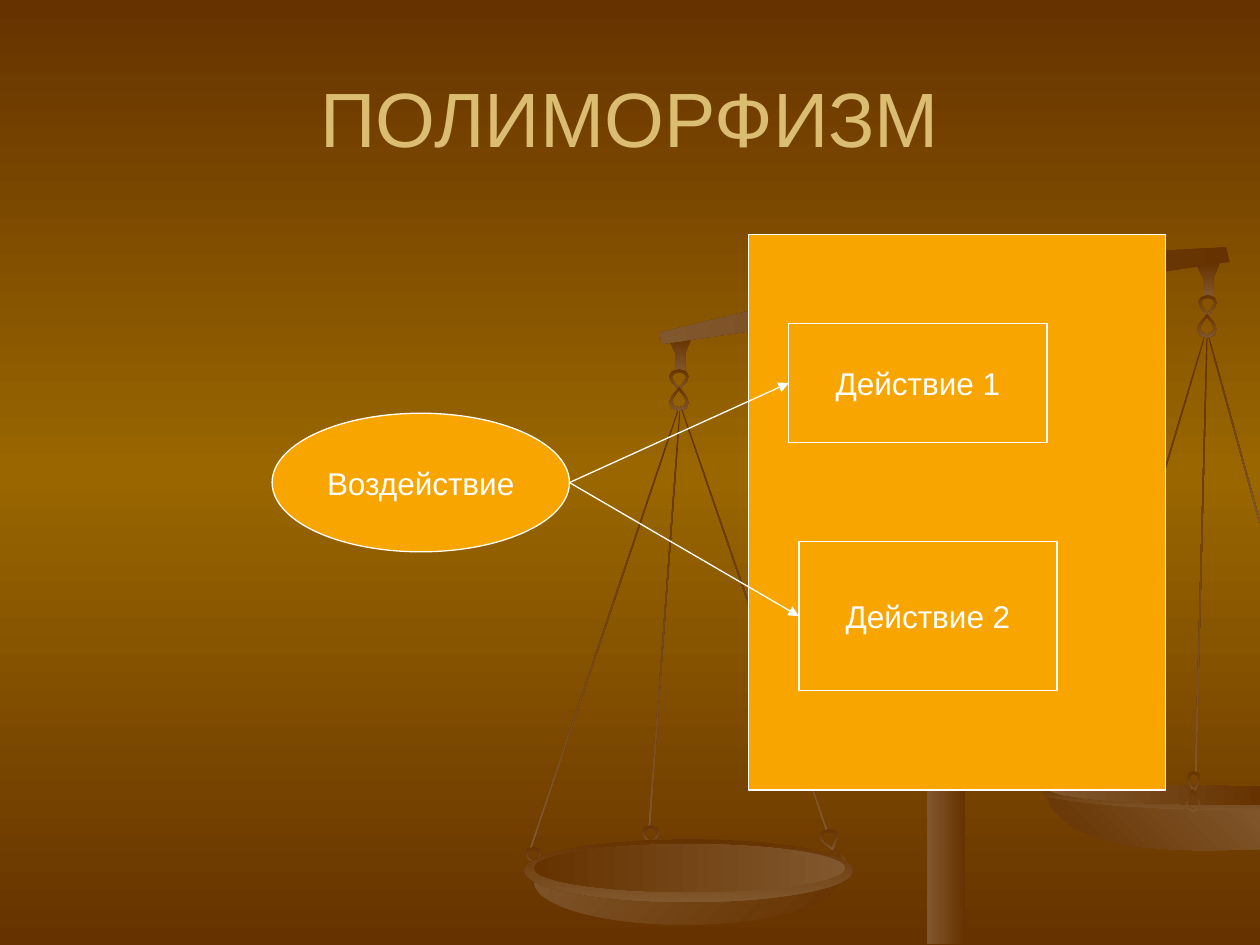
from copy import deepcopy
from dataclasses import dataclass
from typing import Optional

from lxml.etree import SubElement
from pptx import Presentation
from pptx.dml.color import RGBColor
from pptx.enum.shapes import MSO_CONNECTOR as Connector, MSO_SHAPE as Preset
from pptx.enum.text import MSO_ANCHOR as Anchor, PP_ALIGN as Align
from pptx.oxml.ns import qn
from pptx.util import Inches, Pt

BROWN = RGBColor(0x66, 0x33, 0x00)
OCHRE = RGBColor(0x99, 0x66, 0x00)
COPPER = RGBColor(0x81, 0x57, 0x2D)
ORANGE = RGBColor(0xF8, 0xA5, 0x00)
SAND = RGBColor(0xDB, 0xBD, 0x71)
WHITE = RGBColor(0xFF, 0xFF, 0xFF)
FONT = "Arial"
Points = list[tuple[float, float]]


@dataclass
class Part:
    left: float
    top: float
    width: float
    height: float
    preset: Preset = Preset.RECTANGLE
    angle: int = 90
    rotation: float = 0
    start: RGBColor = BROWN
    end: RGBColor = COPPER


@dataclass
class Outline:
    points: Points
    angle: int = 90
    start: RGBColor = BROWN
    end: RGBColor = COPPER
    hole: Optional[Points] = None


@dataclass
class Node:
    left: float
    top: float
    width: float
    height: float
    preset: Preset = Preset.RECTANGLE
    label: str = ""


def rope(left: float, top: float, height: float, rotation: float) -> Part:
    return Part(left, top, 0.01, height, rotation=rotation)


def link(left: float, top: float, width: float, height: float, up: bool = False, tip: float = 0.5) -> Outline:
    unit = [(tip, 1), (0.85, 0.62), (1, 0.35), (0.85, 0.1), (0.5, 0), (0.15, 0.1), (0, 0.35), (0.15, 0.62)]

    def ring(scale: float) -> Points:
        placed = [(0.5 + (x - 0.5) * scale, 0.5 + (y - 0.5) * scale) for x, y in unit]
        return [(left + x * width, top + (1 - y if up else y) * height) for x, y in placed]

    return Outline(ring(1), hole=ring(0.72)[::-1])


def hook(left: float, top: float) -> Outline:
    steps = [(0.18, 0), (0, 0.02), (0.05, 0.12), (0.05, 0.27), (0.13, 0.27), (0.13, 0.12)]
    return Outline([(left + x, top + y) for x, y in steps])


SCALES = [
    rope(9.04, 2.6, 3.6, 16.6),
    rope(9.53, 2.66, 3.47, 1.5),
    rope(9.79, 2.64, 1.53, 344.6),
    rope(5.98, 3.15, 3.53, 341),
    rope(4.79, 3.16, 3.68, 18.6),
    rope(5.27, 3.25, 3.31, 4.2),
    Outline([(9.58, 6.24), (9.1, 6.24), (8.75, 6.23), (8.46, 6.24), (8.31, 6.26), (8.27, 6.28), (8.32, 6.33),
             (8.52, 6.38), (8.94, 6.42), (9.35, 6.44), (9.58, 6.45), (10, 6.45), (10, 6.26), (9.8, 6.26)]),
    Outline([(8.31, 6.33), (8.35, 6.42), (8.42, 6.49), (8.52, 6.57), (8.65, 6.63), (8.82, 6.68), (9.03, 6.72),
             (9.28, 6.74), (9.57, 6.75), (10, 6.74), (10, 6.43), (9.53, 6.43), (9.18, 6.42), (8.86, 6.4),
             (8.57, 6.37)], 135, COPPER, BROWN),
    Outline([(9.56, 6.23), (9.09, 6.23), (8.69, 6.23), (8.51, 6.24), (8.34, 6.28), (8.43, 6.31), (8.63, 6.34),
             (8.93, 6.37), (9.33, 6.38), (9.55, 6.39), (10, 6.39), (10, 6.24), (9.79, 6.24)], 180),
    hook(5.31, 2.68),
    link(5.31, 2.93, 0.16, 0.17),
    link(5.31, 3.07, 0.16, 0.19, up=True),
    hook(9.5, 2.09),
    link(9.51, 2.34, 0.15, 0.17),
    link(9.5, 2.49, 0.16, 0.19, up=True),
    link(9.42, 6.12, 0.11, 0.17),
    Outline([(9.73, 1.96), (9.76, 2.08), (5.25, 2.73), (5.24, 2.64), (7.37, 2.12), (7.59, 2.09)], 180),
    link(5.09, 6.55, 0.15, 0.16),
    link(6.56, 6.72, 0.16, 0.19, up=True, tip=0.3),
    link(4.17, 6.72, 0.13, 0.16, tip=0.95),
    Part(4.24, 6.66, 2.4, 0.68, Preset.OVAL, 225),
    Part(4.16, 6.66, 2.61, 0.5, Preset.OVAL),
    Part(4.24, 6.7, 2.47, 0.38, Preset.OVAL, 180, start=COPPER, end=BROWN),
    link(6.5, 6.58, 0.16, 0.17, tip=0.7),
    link(9.41, 6.26, 0.12, 0.19, up=True),
    Part(7.36, 3.08, 0.3, 4.41, angle=180),
]
SOURCE = Node(2.16, 3.28, 2.36, 1.1, Preset.OVAL, "Воздействие")
PANEL = Node(5.94, 1.86, 3.31, 4.41)
ACTIONS = [Node(6.26, 2.57, 2.05, 0.94, label="Действие 1"), Node(6.34, 4.3, 2.05, 1.18, label="Действие 2")]


def paint_background(page) -> None:
    fill = page.background.fill
    fill.gradient()
    fill.gradient_angle = 270
    stop_list = page.element.find(".//" + qn("a:gsLst"))
    stop_list.insert(1, deepcopy(stop_list[0]))
    for stop, color, position in zip(fill.gradient_stops, (BROWN, OCHRE, BROWN), (0, 0.5, 1)):
        stop.color.rgb = color
        stop.position = position


def add_preset(page, item: Part | Node):
    return page.shapes.add_shape(item.preset, Inches(item.left), Inches(item.top),
                                 Inches(item.width), Inches(item.height))


def add_outline(page, outline: Outline):
    rings = [[(Inches(x), Inches(y)) for x, y in ring] for ring in (outline.points, outline.hole) if ring]
    builder = page.shapes.build_freeform(*rings[0][0])
    builder.add_line_segments(rings[0][1:])
    for ring in rings[1:]:
        builder.move_to(*ring[0])
        builder.add_line_segments(ring[1:])
    return builder.convert_to_shape()


def draw_scale_piece(page, piece: Part | Outline) -> None:
    if isinstance(piece, Part):
        shape = add_preset(page, piece)
        shape.rotation = piece.rotation
    else:
        shape = add_outline(page, piece)
    shape.shadow.inherit = False
    shape.line.fill.background()
    shape.fill.gradient()
    shape.fill.gradient_angle = 360 - piece.angle
    for stop, color in zip(shape.fill.gradient_stops, (piece.start, piece.end)):
        stop.color.rgb = color


def write_text(box, text: str, size: int, color: RGBColor, wrap: bool) -> None:
    frame = box.text_frame
    frame.text = text
    frame.word_wrap = wrap
    frame.vertical_anchor = Anchor.MIDDLE
    para = frame.paragraphs[0]
    para.alignment = Align.CENTER
    font = para.runs[0].font
    font.name, font.size, font.color.rgb = FONT, Pt(size), color


def draw_node(page, node: Node):
    shape = add_preset(page, node)
    shape.shadow.inherit = False
    shape.fill.solid()
    shape.fill.fore_color.rgb = ORANGE
    shape.line.color.rgb = WHITE
    shape.line.width = Pt(0.75)
    if node.label:
        write_text(shape, node.label, 18, WHITE, False)
    return shape


def draw_arrow(page, source, target) -> None:
    x, y = source.left + source.width, source.top + source.height // 2
    arrow = page.shapes.add_connector(Connector.STRAIGHT, x, y, target.left, target.top)
    arrow.end_connect(target, 1)
    arrow.line.color.rgb = WHITE
    arrow.line.width = Pt(0.75)
    properties = arrow.element.spPr
    SubElement(properties.find(qn("a:ln")), qn("a:tailEnd"), type="triangle")
    SubElement(properties, qn("a:effectLst"))


def main() -> None:
    """Build the polymorphism slide."""
    deck = Presentation()
    deck.slide_width, deck.slide_height = Inches(10), Inches(7.5)
    page = deck.slides.add_slide(deck.slide_layouts[6])
    paint_background(page)
    for piece in SCALES:
        draw_scale_piece(page, piece)
    title = page.shapes.add_textbox(Inches(0.5), Inches(0.3), Inches(9), Inches(1.25))
    write_text(title, "ПОЛИМОРФИЗМ", 44, SAND, True)
    source = draw_node(page, SOURCE)
    draw_node(page, PANEL)
    actions = [draw_node(page, action) for action in ACTIONS]
    for action in actions:
        draw_arrow(page, source, action)
    deck.save("out.pptx")


if __name__ == "__main__":
    main()
